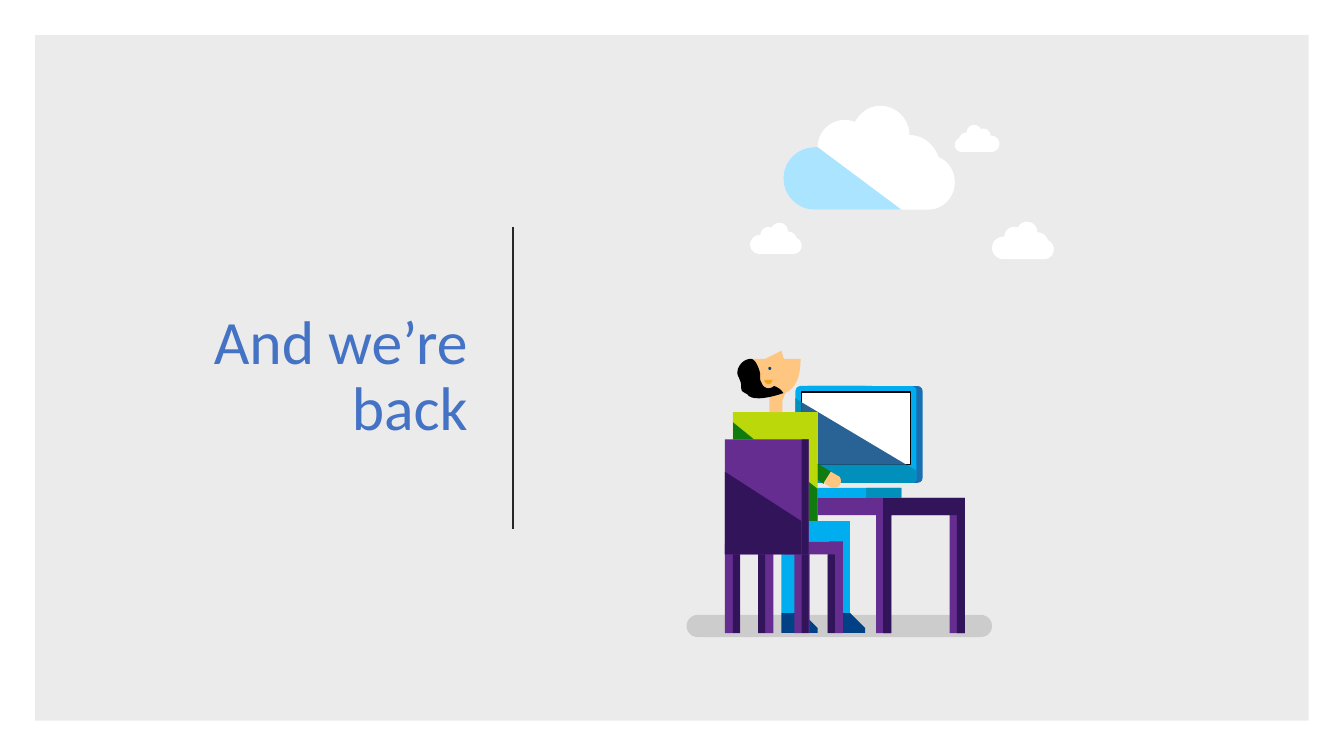
from lxml import etree
from pptx import Presentation
from pptx.dml.color import RGBColor
from pptx.enum.shapes import MSO_CONNECTOR, MSO_SHAPE
from pptx.enum.text import MSO_ANCHOR, MSO_AUTO_SIZE, PP_ALIGN
from pptx.oxml.ns import qn
from pptx.util import Inches, Pt

RECT, ROUND, OVAL = MSO_SHAPE.RECTANGLE, MSO_SHAPE.ROUNDED_RECTANGLE, MSO_SHAPE.OVAL
STRAIGHT = MSO_CONNECTOR.STRAIGHT
RIGHT, MIDDLE, NO_FIT = PP_ALIGN.RIGHT, MSO_ANCHOR.MIDDLE, MSO_AUTO_SIZE.NONE

BLACK = RGBColor(0x00, 0x00, 0x00)
WHITE = RGBColor(0xFF, 0xFF, 0xFF)
RULE = RGBColor(0x26, 0x26, 0x26)
TITLE_BLUE = RGBColor(0x44, 0x72, 0xC4)
PURPLE = RGBColor(0x66, 0x2D, 0x91)
DARK_PURPLE = RGBColor(0x32, 0x14, 0x5A)
CYAN = RGBColor(0x00, 0xAE, 0xEF)
DARK_CYAN = RGBColor(0x00, 0x90, 0xBB)
CASE_SIDE = RGBColor(0x18, 0x70, 0xB3)
SCREEN_SHADE = RGBColor(0x29, 0x62, 0x94)
NAVY = RGBColor(0x00, 0x41, 0x85)
SKY = RGBColor(0xAA, 0xE4, 0xFE)
LIME = RGBColor(0xBA, 0xD8, 0x0A)
GREEN = RGBColor(0x10, 0x7C, 0x10)
SKIN = RGBColor(0xFF, 0xC6, 0x81)
LIPS = RGBColor(0xF1, 0xA6, 0x1F)

CLOUD_WIDTH = 1.7
CLOUD_LEFT = [(0.31, 0.41), (0.14, 0.41, 0, 0.55, 0, 0.72),
              (0, 0.89, 0.14, 1.03, 0.31, 1.03)]
CLOUD = CLOUD_LEFT + [
    (1.44, 1.03), (1.58, 1.03, 1.7, 0.91, 1.7, 0.76),
    (1.7, 0.65, 1.64, 0.55, 1.54, 0.51), (1.5, 0.39, 1.39, 0.29, 1.25, 0.29),
    (1.25, 0.13, 1.12, 0, 0.96, 0), (0.85, 0, 0.76, 0.07, 0.71, 0.16),
    (0.68, 0.15, 0.65, 0.14, 0.61, 0.14), (0.46, 0.14, 0.34, 0.26, 0.34, 0.41)]


def paint(shape, color, alpha=None, line=None):
    shape.shadow.inherit = False
    shape.fill.solid()
    shape.fill.fore_color.rgb = color
    if alpha:
        clr = shape.fill._xPr.find(qn("a:solidFill"))[0]
        etree.SubElement(clr, qn("a:alpha")).set("val", str(alpha * 1000))
    if line:
        shape.line.color.rgb = line
        shape.line.width = Pt(1)
    else:
        shape.line.fill.background()
    return shape


def block(shapes, origin, box, color, kind=RECT, **fmt):
    """Preset shape whose box is measured from origin."""
    x, y, w, h = box
    left, top = origin
    sp = shapes.add_shape(kind, Inches(left + x), Inches(top + y), Inches(w), Inches(h))
    return paint(sp, color, **fmt)


def flatten(segments, steps=12):
    """Turn points and six-number cubic curves into a list of points."""
    points = []
    for seg in segments:
        if len(seg) == 2:
            points.append(seg)
            continue
        curve = [points[-1], seg[:2], seg[2:4], seg[4:]]
        for i in range(1, steps + 1):
            t = i / steps
            weights = ((1 - t) ** 3, 3 * t * (1 - t) ** 2, 3 * t * t * (1 - t), t ** 3)
            points.append(tuple(sum(w * p[k] for w, p in zip(weights, curve))
                                for k in (0, 1)))
    return points


def outline(shapes, origin, color, segments, scale=1, flip_width=None):
    """Closed freeform measured from origin; flip_width mirrors it left to right."""
    left, top = origin
    points = []
    for x, y in flatten(segments):
        if flip_width:
            x = flip_width - x
        points.append((Inches(left + x * scale), Inches(top + y * scale)))
    builder = shapes.build_freeform(*points[0])
    builder.add_line_segments(points[1:], close=True)
    return paint(builder.convert_to_shape(), color)


def set_text(shape, text, size, font, color, align, spacing):
    tf = shape.text_frame
    tf.word_wrap = True
    tf.auto_size = NO_FIT
    tf.vertical_anchor = MIDDLE
    p = tf.paragraphs[0]
    p.alignment = align
    p.line_spacing = spacing
    r = p.add_run()
    r.text = text
    r.font.size = Pt(size)
    r.font.name = font
    r.font.color.rgb = color


def draw_heading(s, left, top, width, height):
    title = s.shapes.title
    title.left, title.top = Inches(left), Inches(top)
    title.width, title.height = Inches(width), Inches(height)
    set_text(title, "And we’re back", size=44, font="Calibri", color=TITLE_BLUE,
             align=RIGHT, spacing=0.9)
    panel = block(s.shapes, (0.35, 0.35), (0, 0, 12.63, 6.8), BLACK, alpha=8)
    title.element.addprevious(panel.element)
    x = Inches(left + width + 0.35)
    rule = s.shapes.add_connector(STRAIGHT, x, Inches(top + 1.2), x, Inches(top + 4.2))
    rule.line.color.rgb = RULE
    rule.line.width = Pt(1.5)
    etree.SubElement(rule._element.spPr, qn("a:effectLst"))


def draw_clouds(shapes, left, top):
    outline(shapes, (left, top), WHITE, CLOUD)
    outline(shapes, (left, top), SKY, CLOUD_LEFT + [(1.17, 1.03), (0.34, 0.41)])
    for x, y, scale, flip in ((-0.33, 1.16, 0.3, None), (1.7, 0.19, 0.26, CLOUD_WIDTH),
                              (2.07, 1.15, 0.36, None)):
        outline(shapes, (left + x, top + y), WHITE, CLOUD, scale, flip)


def draw_desk(shapes, left, top):
    o = (left, top)
    outline(shapes, o, PURPLE, [
        (0, 0), (0, 0.17), (1.29, 0.17), (1.29, 1.34), (1.44, 1.34), (1.44, 0.17),
        (2.02, 0.17), (2.02, 1.34), (2.17, 1.34), (2.17, 0)])
    outline(shapes, o, DARK_PURPLE, [
        (1.36, 0), (1.36, 1.34), (1.44, 1.34), (1.44, 0.17), (2.09, 0.17),
        (2.09, 1.34), (2.17, 1.34), (2.17, 0)])


def draw_computer(shapes, left, top):
    o = (left, top)
    for x, w, color in ((0.08, 1.18, CASE_SIDE), (0, 1.2, CYAN)):
        block(shapes, o, (x, 0, w, 0.96), color, ROUND).adjustments[0] = 0.05
    block(shapes, o, (0.06, 0.06, 1.08, 0.72), WHITE, line=BLACK)
    outline(shapes, o, DARK_CYAN, [
        (0.22, 0.78), (1.1, 0.78), (1.2, 0.84), (1.2, 0.9),
        (1.2, 0.96, 1.14, 0.96, 1.14, 0.96), (0.22, 0.96)])
    outline(shapes, o, DARK_CYAN, [(0, 0.12), (0, 0.26), (0.06, 0.26), (0.06, 0.16)])
    outline(shapes, o, SCREEN_SHADE, [
        (0.06, 0.16), (0.06, 0.26), (0.22, 0.26), (0.22, 0.78), (1.1, 0.78)])
    block(shapes, o, (0.22, 1.01, 0.83, 0.1), CYAN)
    block(shapes, o, (0.7, 1.01, 0.35, 0.1), DARK_CYAN)


def draw_worker(shapes, left, top):
    o = (left, top)
    outline(shapes, o, GREEN, [(0.84, 1.12), (0.84, 1.28), (0.9, 1.32), (0.97, 1.2)])
    block(shapes, o, (0, 0.61, 0.84, 1.23), LIME)
    outline(shapes, o, GREEN, [(0.75, 1.3), (0.75, 1.69), (0.84, 1.69), (0.84, 1.37)])
    outline(shapes, o, GREEN, [(0, 0.71), (0, 0.88), (0.21, 0.88)])
    neck = [(0.56, 0.39), (0.49, 0.37), (0.47, 0.42), (0.36, 0.42), (0.36, 0.61),
            (0.49, 0.61), (0.49, 0.5), (0.5, 0.47, 0.51, 0.41, 0.56, 0.39)]
    nose = [(0.32, 0.08), (0.48, 0), (0.52, 0.13)]
    face = [(0.18, 0.44), (0.43, 0.44), (0.62, 0.42, 0.67, 0.27, 0.67, 0.08), (0.18, 0.08)]
    hand = [(0.97, 1.2), (0.9, 1.31), (0.96, 1.35), (1, 1.37, 1.04, 1.36, 1.06, 1.33),
            (1.08, 1.3, 1.07, 1.25, 1.04, 1.24)]
    for part in (neck, nose, face, hand):
        outline(shapes, o, SKIN, part)
    block(shapes, o, (0.35, 0.16, 0.03, 0.03), NAVY, OVAL)
    for x in (0, 0.47):
        outline(shapes, (left + x, top), NAVY, [
            (0.48, 2.6), (0.69, 2.6), (0.84, 2.75), (0.84, 2.8), (0.48, 2.8)])
    for leg in ((0.95, 1.72, 0.21, 0.88), (0.48, 1.69, 0.2, 0.91), (0.27, 1.69, 0.89, 0.2)):
        block(shapes, o, leg, CYAN)
    outline(shapes, o, BLACK, [
        (0.3, 0.33), (0.29, 0.32), (0.26, 0.29, 0.27, 0.27, 0.27, 0.23),
        (0.26, 0.18, 0.23, 0.09, 0.18, 0.08), (0.08, 0.08, 0.01, 0.2, 0.06, 0.27),
        (0.07, 0.3, 0.08, 0.31, 0.08, 0.34), (0.08, 0.36, 0.08, 0.38, 0.09, 0.4),
        (0.1, 0.41, 0.12, 0.42, 0.14, 0.43), (0.2, 0.53, 0.5, 0.42, 0.5, 0.42),
        (0.45, 0.33, 0.3, 0.33, 0.3, 0.33)])
    outline(shapes, o, SKIN, [(0.28, 0.29), (0.28, 0.33, 0.31, 0.37, 0.35, 0.37),
                              (0.4, 0.37, 0.43, 0.33, 0.43, 0.29)])
    outline(shapes, o, LIPS, [(0.31, 0.29), (0.31, 0.31, 0.33, 0.33, 0.35, 0.33),
                              (0.38, 0.33, 0.39, 0.31, 0.39, 0.29)])


def draw_chair(shapes, left, top):
    o = (left, top)
    block(shapes, o, (0, 0, 0.83, 1.14), PURPLE)
    block(shapes, o, (0.6, 1.01, 0.57, 0.13), PURPLE)
    for x, shade_x in ((0, 0.08), (0.33, 0.33), (0.69, 0.76), (1.02, 1.02)):
        block(shapes, o, (x, 1.03, 0.15, 0.89), PURPLE)
        block(shapes, o, (shade_x, 1.14, 0.07, 0.78), DARK_PURPLE)
    block(shapes, o, (0.76, 0, 0.07, 1.14), DARK_PURPLE)
    outline(shapes, o, DARK_PURPLE, [(0, 0.32), (0, 1.14), (0.76, 1.14), (0.76, 0.81)])


def draw_scene(s, left, top):
    shapes = s.shapes.add_group_shape().shapes
    floor = block(shapes, (left, top), (0, 5.05, 3.03, 0.22), BLACK, ROUND, alpha=13)
    floor.adjustments[0] = 0.5
    draw_desk(shapes, left + 0.59, top + 3.89)
    draw_clouds(shapes, left + 0.96, top)
    draw_computer(shapes, left + 1.08, top + 2.78)
    draw_worker(shapes, left + 0.46, top + 2.43)
    draw_chair(shapes, left + 0.38, top + 3.31)


def main():
    prs = Presentation()
    prs.slide_width, prs.slide_height = Inches(13.33), Inches(7.5)
    s = prs.slides.add_slide(prs.slide_layouts[5])
    draw_heading(s, 0.92, 1.05, 3.82, 5.39)
    draw_scene(s, 6.81, 1.05)
    prs.save("out.pptx")


if __name__ == "__main__":
    main()
